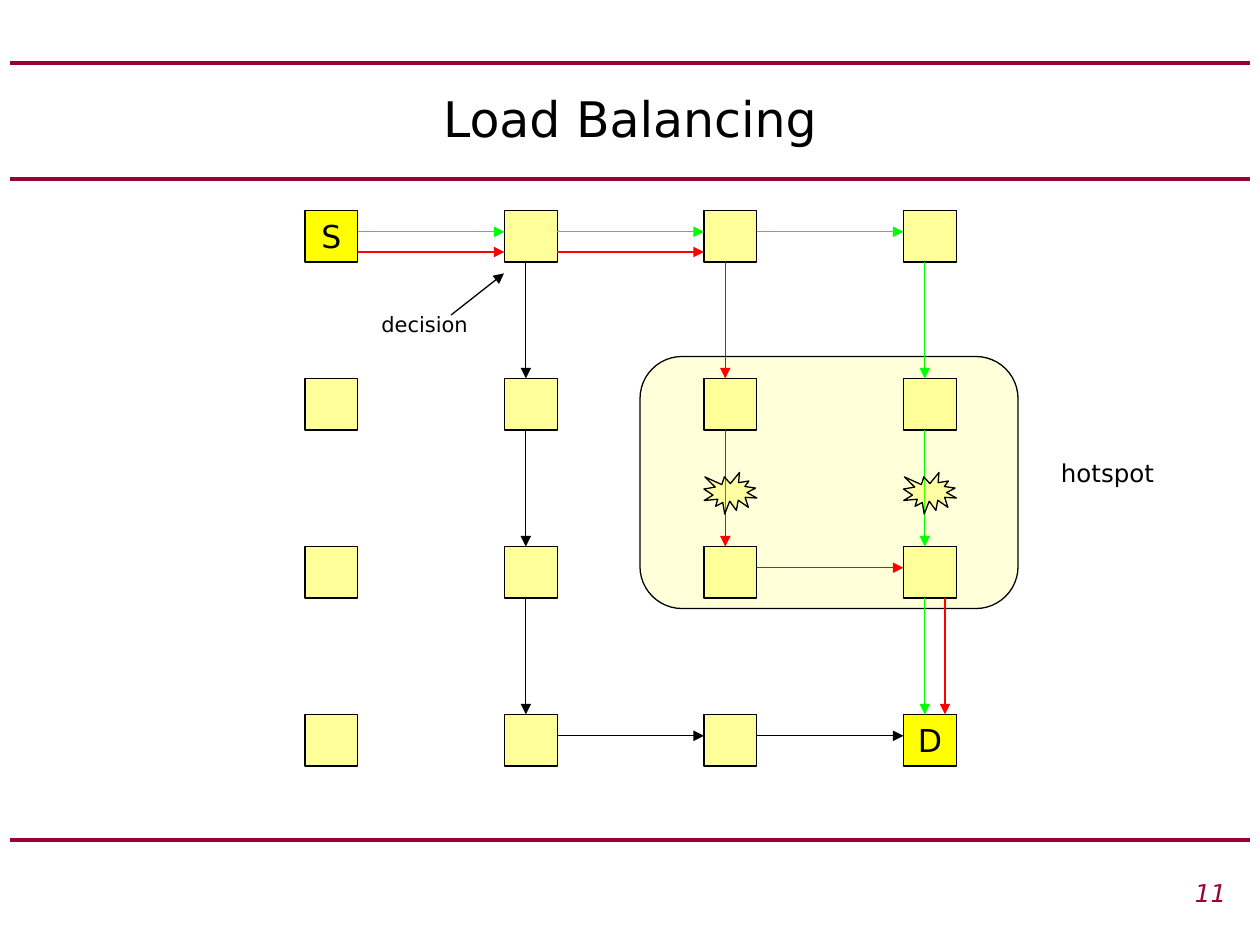
from itertools import pairwise, product
from lxml.etree import SubElement
from pptx import Presentation
from pptx.dml.color import RGBColor
from pptx.enum.shapes import MSO_CONNECTOR, MSO_SHAPE
from pptx.enum.text import MSO_ANCHOR, PP_ALIGN
from pptx.oxml.ns import qn
from pptx.util import Inches, Pt

THEME = {
    "font": "DejaVu Sans",
    "ink": RGBColor.from_string("000000"),
    "rule": RGBColor.from_string("990033"),
    "endpoint": RGBColor.from_string("FFFF00"),
    "router": RGBColor.from_string("FFFF99"),
    "green": RGBColor.from_string("00FF00"),
    "red": RGBColor.from_string("FF0000"),
    "title_size": Pt(28),
    "endpoint_size": Pt(18),
    "label_size": Pt(14),
    "note_size": Pt(12),
    "thin": Pt(0.75),
    "thick": Pt(2.25),
}
LEFT, TOP = 2.42, 1.67
COLUMN_STEP, ROW_STEP = 4.75 / 3, 4 / 3
NODE_WIDTH, NODE_HEIGHT = 0.42, 0.41

presentation = Presentation()
presentation.slide_width = Inches(10)
presentation.slide_height = Inches(7.5)
slide = presentation.slides.add_slide(presentation.slide_layouts[5])
shapes = slide.shapes


def draw_block(kind, box, color, opacity=100):
    block = shapes.add_shape(kind, *map(Inches, box))
    block.shadow.inherit = False
    block.fill.solid()
    block.fill.fore_color.rgb = THEME[color]
    block.line.color.rgb = THEME["ink"]
    block.line.width = THEME["thin"]
    if opacity < 100:
        tint = block.fill._xPr.find(qn("a:solidFill"))[0]
        SubElement(tint, qn("a:alpha"), val=str(opacity * 1000))
    return block


def draw_line(start, end, color, width="thin", arrow=True):
    line = shapes.add_connector(MSO_CONNECTOR.STRAIGHT, *map(Inches, (*start, *end)))
    line.line.color.rgb = THEME[color]
    line.line.width = THEME[width]
    if arrow:
        SubElement(line.line._get_or_add_ln(), qn("a:tailEnd"), type="triangle")
    SubElement(line._element.spPr, qn("a:effectLst"))


for rule_y in (6.67, 1.42, 0.5):
    draw_line((0.08, rule_y), (9.92, rule_y), "rule", "thick", arrow=False)

draw_block(MSO_SHAPE.FLOWCHART_ALTERNATE_PROCESS, (5.08, 2.83, 3, 2), "endpoint", 15)

title = shapes.title
title_place = {"left": 0.5, "top": 0.5, "width": 9, "height": 0.87}
for attribute, value in title_place.items():
    setattr(title, attribute, Inches(value))
labels = [(title, "Load Balancing", {"size": THEME["title_size"]}, PP_ALIGN.CENTER)]

endpoints = {(0, 0): "S", (3, 3): "D"}
for column, row in product(range(4), repeat=2):
    letter = endpoints.get((column, row))
    node = draw_block(
        MSO_SHAPE.RECTANGLE,
        (LEFT + column * COLUMN_STEP, TOP + row * ROW_STEP, NODE_WIDTH, NODE_HEIGHT),
        "endpoint" if letter else "router",
    )
    if letter:
        labels.append((node, letter, {"size": THEME["endpoint_size"]}, PP_ALIGN.CENTER))

routes = [
    ("green", 0.17, [(0, 0), (1, 0), (2, 0), (3, 0), (3, 1), (3, 2), (3, 3)]),
    ("red", 0.33, [(0, 0), (1, 0), (2, 0)]),
    ("red", 0.17, [(2, 0), (2, 1), (2, 2), (3, 2)]),
    ("red", 0.33, [(3, 2), (3, 3)]),
    ("ink", 0.17, [(1, 0), (1, 1), (1, 2), (1, 3), (2, 3), (3, 3)]),
]
for color, lane, stops in routes:
    for (column, row), (next_column, next_row) in pairwise(stops):
        x, y = LEFT + column * COLUMN_STEP, TOP + row * ROW_STEP
        if row == next_row:
            start = (x + NODE_WIDTH, y + lane)
            end = (x + COLUMN_STEP, y + lane)
        else:
            start = (x + lane, y + NODE_HEIGHT)
            end = (x + lane, y + ROW_STEP)
        draw_line(start, end, color)

for column in (2, 3):
    collision_box = (LEFT + column * COLUMN_STEP, 3.75, NODE_WIDTH, 0.33)
    draw_block(MSO_SHAPE.EXPLOSION1, collision_box, "endpoint", 25)

captions = [
    ("hotspot", (8.25, 3.58, 1.08, 0.34), {"size": THEME["label_size"]}, PP_ALIGN.CENTER),
    ("decision", (2.83, 2.42, 1.08, 0.3), {"size": THEME["note_size"]}, PP_ALIGN.CENTER),
    ("11", (3.75, 6.92, 6.08, 0.33), {"size": THEME["label_size"], "italic": True}, PP_ALIGN.RIGHT),
]
for wording, box, font_format, alignment in captions:
    caption = shapes.add_textbox(*map(Inches, box))
    labels.append((caption, wording, font_format, alignment))

draw_line((3.58, 2.5), (4, 2.17), "ink")

for holder, wording, font_format, alignment in labels:
    frame = holder.text_frame
    frame.word_wrap = True
    frame.vertical_anchor = MSO_ANCHOR.MIDDLE
    paragraph = frame.paragraphs[0]
    paragraph.alignment = alignment
    run = paragraph.add_run()
    run.text = wording
    for attribute, value in {"name": THEME["font"], **font_format}.items():
        setattr(run.font, attribute, value)
    run.font.color.rgb = THEME["rule" if wording == "11" else "ink"]

presentation.save("out.pptx")
